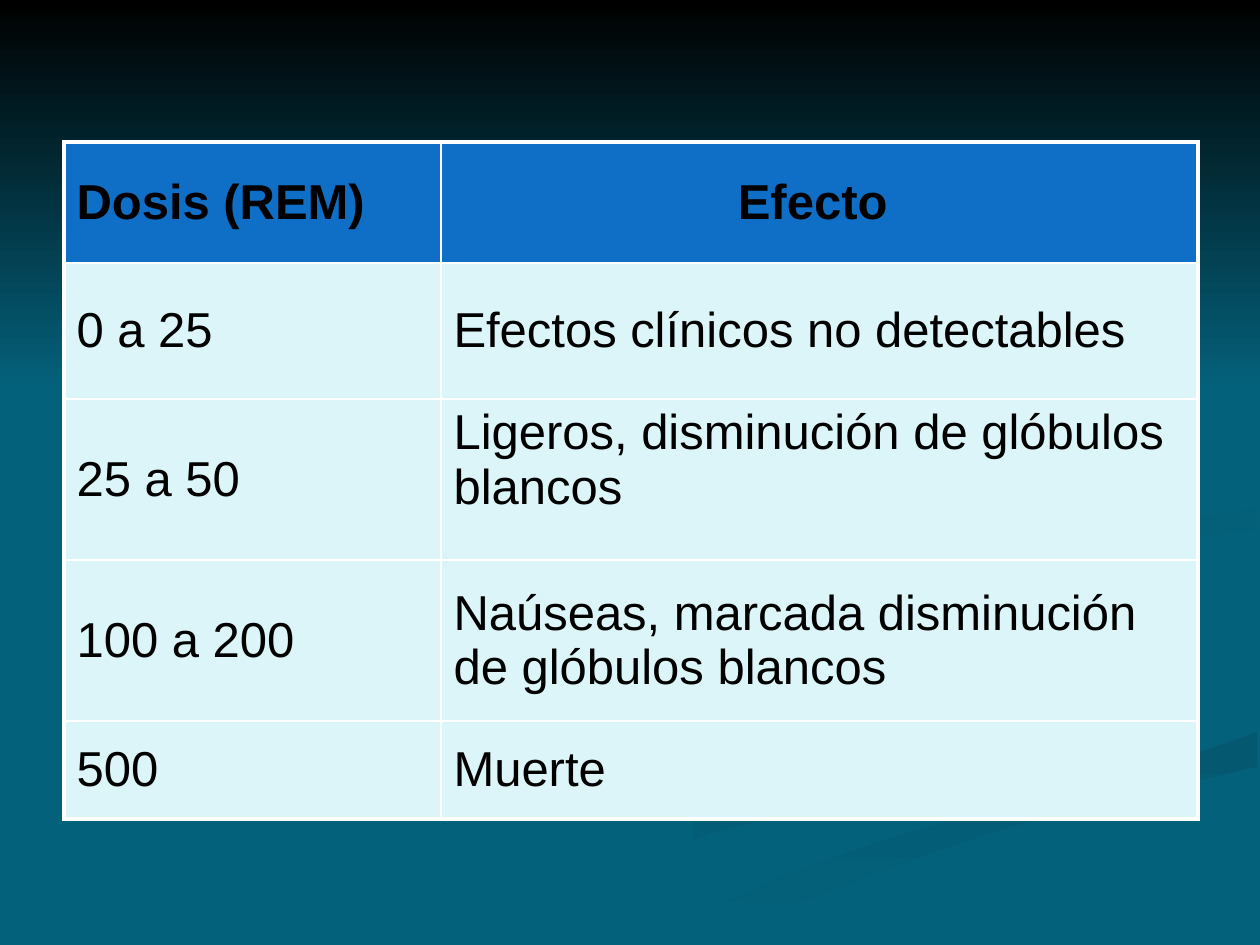
from lxml import etree
from pptx import Presentation
from pptx import util as u
from pptx.dml.color import RGBColor
from pptx.enum import text
from pptx.oxml.ns import qn

PX = 914400 / 126

# Content: dose and effect
HEADER = ("Dosis (REM)", "Efecto ")
EFFECTS = [
    ("0 a 25", "Efectos clínicos no detectables"),
    ("25 a 50", "Ligeros, disminución de glóbulos blancos"),
    ("100 a 200", "Naúseas, marcada disminución de glóbulos blancos"),
    ("500", "Muerte"),
]
TABLE_LEFT, TABLE_TOP = 64, 142
COLUMN_WIDTHS = (377, 757)
ROW_HEIGHTS = (121, 136, 161, 161, 98)
TOP_ALIGNED = (2, 1)

TEAL, BLACK, WHITE, BLUE, PALE = "04617B", "000000", "FFFFFF", "0F6FC6", "DBF5F9"

# Background bands: outline, first colour, last colour, clockwise angle
BANDS = [
    ([(378, 944), (474, 891), (577, 849), (680, 818), (779, 793), (907, 763),
      (974, 739), (990, 718), (986, 697), (1008, 732), (980, 762), (852, 799),
      (709, 834), (587, 881), (499, 922), (455, 944)], TEAL, "045D76", 0),
    ([(634, 944), (719, 944), (792, 905), (876, 872), (989, 833), (1085, 806),
      (1196, 781), (1257, 767), (1257, 732), (1197, 753), (1138, 769),
      (1003, 804), (876, 843), (792, 873), (717, 906), (654, 941)],
     "045971", TEAL, 90),
    ([(985, 580), (995, 602), (1041, 625), (1014, 595), (1030, 578),
      (1106, 553), (1223, 533), (1257, 529), (1257, 507), (1218, 515),
      (1131, 527), (1034, 547), (997, 563)], "045C74", TEAL, 45),
    ([(0, 0), (1260, 0), (1260, 388), (0, 388)], BLACK, TEAL, 90),
]


def px(length):
    return u.Emu(round(length * PX))


def color(value):
    return RGBColor.from_string(value)


def add_band(slide, outline, first, last, angle):
    builder = slide.shapes.build_freeform(*outline[0], scale=PX)
    builder.add_line_segments(outline[1:], close=True)
    band = builder.convert_to_shape()
    band.shadow.inherit = False
    band.line.fill.background()
    band.fill.gradient()
    band.fill.gradient_angle = -angle % 360
    for stop, value in zip(band.fill.gradient_stops, (first, last)):
        stop.color.rgb = color(value)


def set_borders(cell, widths):
    """Draw white borders; widths are points for left, right, top, bottom."""
    properties = cell._tc.get_or_add_tcPr()
    for index, (side, width) in enumerate(zip("LRTB", widths)):
        line = etree.Element(qn(f"a:ln{side}"), w=str(u.Pt(width)))
        fill = etree.SubElement(line, qn("a:solidFill"))
        etree.SubElement(fill, qn("a:srgbClr"), val=WHITE)
        properties.insert(index, line)


def fill_cell(cell, wording, row, column):
    is_header = row == 0
    cell.fill.solid()
    cell.fill.fore_color.rgb = color(BLUE if is_header else PALE)
    at_top = (row, column) == TOP_ALIGNED
    cell.vertical_anchor = text.MSO_ANCHOR.TOP if at_top else text.MSO_ANCHOR.MIDDLE
    cell.text_frame.text = wording
    paragraph = cell.text_frame.paragraphs[0]
    if is_header and column == 1:
        paragraph.alignment = text.PP_ALIGN.CENTER
    font = paragraph.runs[0].font
    font.name, font.size, font.bold = "Arial", u.Pt(28), is_header
    font.color.rgb = color(BLACK)
    outer_sides = (column == 0, column == len(COLUMN_WIDTHS) - 1,
                   row == 0, row == len(ROW_HEIGHTS) - 1)
    set_borders(cell, [2.25 if outer else 1 for outer in outer_sides])


def main():
    prs = Presentation()
    prs.slide_width, prs.slide_height = px(1260), px(945)
    slide = prs.slides.add_slide(prs.slide_layouts[6])

    # Background
    slide.background.fill.solid()
    slide.background.fill.fore_color.rgb = color(TEAL)
    for band in BANDS:
        add_band(slide, *band)

    # Dose table
    doses = slide.shapes.add_table(
        len(ROW_HEIGHTS), len(COLUMN_WIDTHS), px(TABLE_LEFT), px(TABLE_TOP),
        px(sum(COLUMN_WIDTHS)), px(sum(ROW_HEIGHTS))).table
    for column, width in zip(doses.columns, COLUMN_WIDTHS):
        column.width = px(width)
    for row, height in zip(doses.rows, ROW_HEIGHTS):
        row.height = px(height)
    for r, entries in enumerate([HEADER, *EFFECTS]):
        for c, wording in enumerate(entries):
            fill_cell(doses.cell(r, c), wording, r, c)

    prs.save("out.pptx")


if __name__ == "__main__":
    main()
